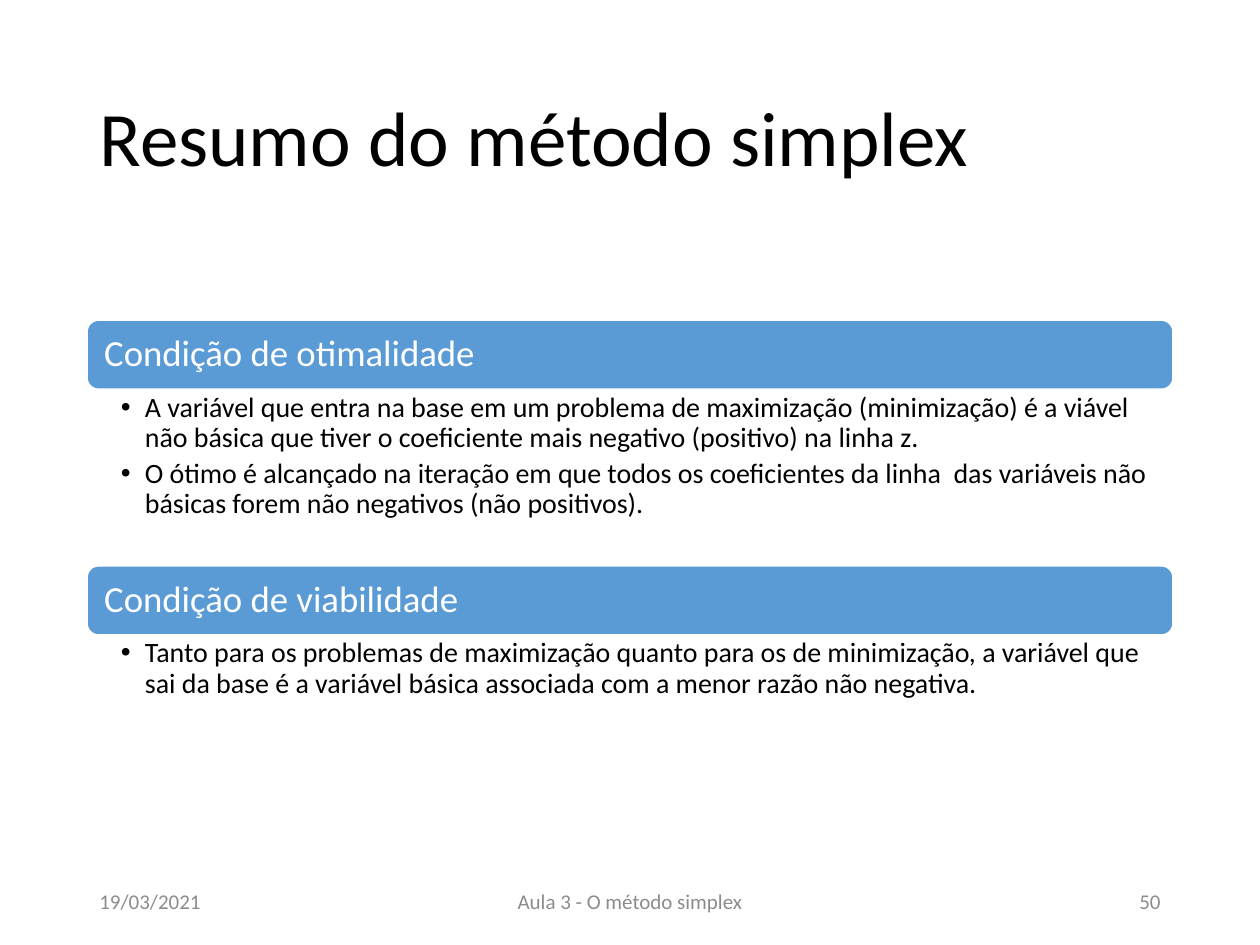
from dataclasses import dataclass

from lxml import etree
from pptx import Presentation
from pptx import util as u
from pptx.dml.color import RGBColor
from pptx.enum import shapes, text
from pptx.oxml.ns import qn


@dataclass(frozen=True)
class Theme:
    """Colours, type sizes and font of the slide."""
    font: str = "Calibri"
    ink: str = "000000"
    paper: str = "FFFFFF"
    accent: str = "5B9BD5"
    muted: str = "8C8C8C"
    title: int = 44
    heading: int = 21
    body: int = 16
    footer: int = 12


THEME = Theme()
WIDTH, HEIGHT = 10, 7.5
MARGIN = 0.69
CONTENT = WIDTH - 2 * MARGIN
BAR_HEIGHT = 0.55
HANGING = 0.19
ALIGN = text.PP_ALIGN

CONDITIONS = [
    ("Condição de otimalidade", 1.4, [
        "A variável que entra na base em um problema de maximização (minimização) é a viável "
        "não básica que tiver o coeficiente mais negativo (positivo) na linha z.",
        "O ótimo é alcançado na iteração em que todos os coeficientes da linha  das variáveis "
        "não básicas forem não negativos (não positivos).",
    ]),
    ("Condição de viabilidade", 0.86, [
        "Tanto para os problemas de maximização quanto para os de minimização, a variável que "
        "sai da base é a variável básica associada com a menor razão não negativa.",
    ]),
]
FOOTER = [
    ("19/03/2021", 0, 2.25, ALIGN.LEFT),
    ("Aula 3 - O método simplex", (CONTENT - 3.38) / 2, 3.38, ALIGN.CENTER),
    ("50", CONTENT - 2.25, 2.25, ALIGN.RIGHT),
]


def inches(box):
    """Convert a box of numbers to lengths."""
    return [u.Inches(side) for side in box]


def add_bullet(paragraph):
    """Give a paragraph a hanging bullet."""
    properties = paragraph._p.get_or_add_pPr()
    properties.set("marL", str(u.Inches(HANGING)))
    properties.set("indent", str(-u.Inches(HANGING)))
    etree.SubElement(properties, qn("a:buFont")).set("typeface", "Arial")
    etree.SubElement(properties, qn("a:buChar")).set("char", "•")


def write(shape, lines, size, color, align=ALIGN.LEFT, anchor=text.MSO_ANCHOR.MIDDLE,
          insets=(0.1, 0.05, 0.1, 0.05), spacing=0.9, after=0, bullets=False):
    """Fill a shape with formatted paragraphs."""
    frame = shape.text_frame
    frame.word_wrap = True
    frame.auto_size = text.MSO_AUTO_SIZE.NONE
    frame.vertical_anchor = anchor
    (frame.margin_left, frame.margin_top,
     frame.margin_right, frame.margin_bottom) = inches(insets)
    for index, line in enumerate(lines):
        paragraph = frame.add_paragraph() if index else frame.paragraphs[0]
        paragraph.alignment = align
        paragraph.line_spacing = spacing
        paragraph.space_before = u.Pt(0)
        paragraph.space_after = u.Pt(after)
        if bullets:
            add_bullet(paragraph)
        run = paragraph.add_run()
        run.text = line
        run.font.name = THEME.font
        run.font.size = u.Pt(size)
        run.font.color.rgb = RGBColor.from_string(color)


def place_title(slide, box, words):
    """Move and format the title placeholder."""
    title = slide.shapes.title
    title.left, title.top, title.width, title.height = inches(box)
    write(title, [words], THEME.title, THEME.ink)


def add_condition(slide, box, heading, points):
    """Draw a heading bar with its bulleted points below."""
    left, top, width, height = box
    bar = slide.shapes.add_shape(shapes.MSO_SHAPE.ROUNDED_RECTANGLE,
                                 *inches((left, top, width, BAR_HEIGHT)))
    bar.shadow.inherit = False
    bar.fill.solid()
    bar.fill.fore_color.rgb = RGBColor.from_string(THEME.accent)
    bar.line.color.rgb = RGBColor.from_string(THEME.paper)
    bar.line.width = u.Pt(1)
    write(bar, [heading], THEME.heading, THEME.paper, insets=(0.11, 0.05, 0.11, 0.05))
    body = slide.shapes.add_textbox(
        *inches((left, top + BAR_HEIGHT, width, height - BAR_HEIGHT)))
    write(body, points, THEME.body, THEME.ink, anchor=text.MSO_ANCHOR.TOP,
          insets=(0.27, 0.03, 0.16, 0.03), after=0.2 * THEME.body, bullets=True)


def add_conditions(slide, box):
    """Stack the conditions from the top of the box."""
    left, top, width, _ = box
    for heading, body_height, points in CONDITIONS:
        height = BAR_HEIGHT + body_height
        add_condition(slide, (left, top, width, height), heading, points)
        top += height


def add_footer(slide, box):
    """Place the date, lecture name and page number."""
    left, top, _, height = box
    for words, offset, width, align in FOOTER:
        part = slide.shapes.add_textbox(*inches((left + offset, top, width, height)))
        write(part, [words], THEME.footer, THEME.muted, align=align, spacing=1.0)


def main():
    """Build and save the slide."""
    deck = Presentation()
    deck.slide_width, deck.slide_height = inches((WIDTH, HEIGHT))
    slide = deck.slides.add_slide(deck.slide_layouts[5])
    place_title(slide, (MARGIN, 0.4, CONTENT, 1.45), "Resumo do método simplex")
    add_conditions(slide, (MARGIN, 2.54, CONTENT, 3.36))
    add_footer(slide, (MARGIN, 6.95, CONTENT, 0.4))
    deck.save("out.pptx")


if __name__ == "__main__":
    main()
